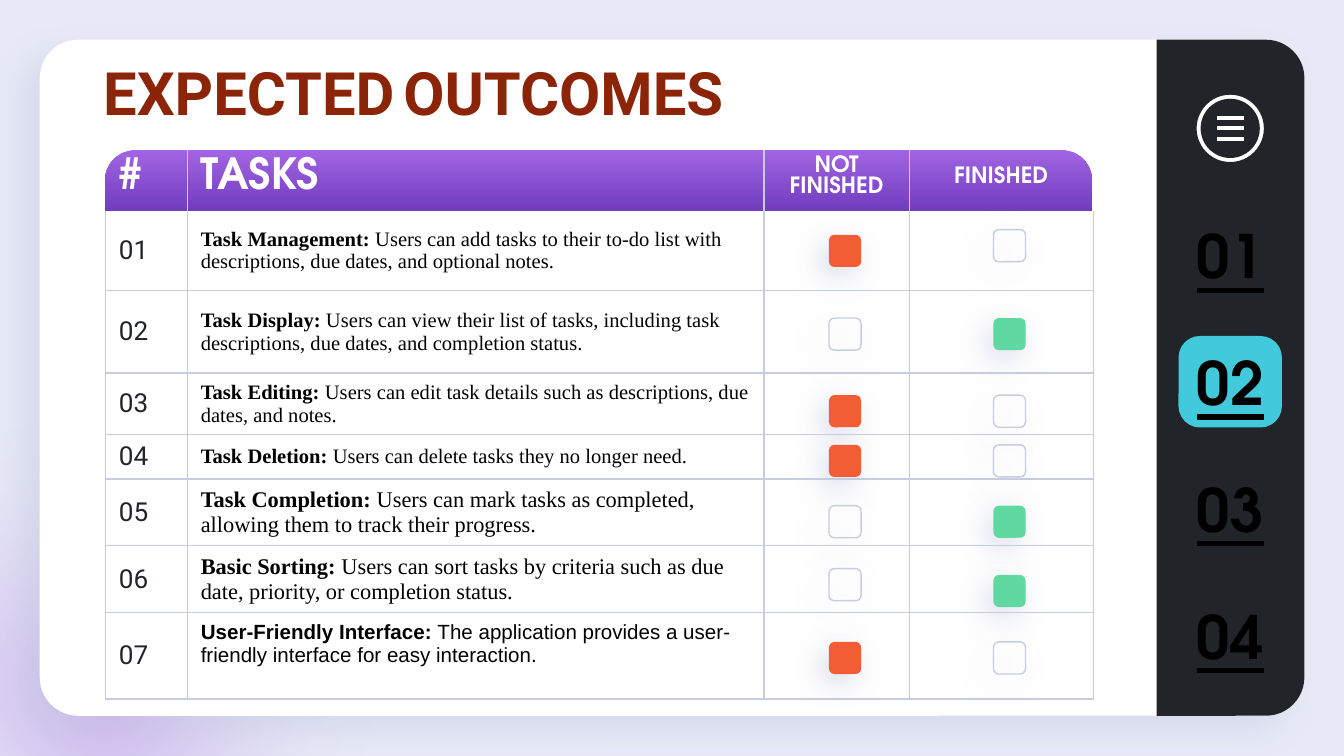
from dataclasses import dataclass
from typing import Optional

from lxml import etree
from pptx import Presentation
from pptx.dml import color
from pptx.enum import shapes, text
from pptx.oxml import ns, parse_xml
from pptx.util import Pt

C = {
    "bg": "E7E9F6", "white": "FFFFFF", "dark": "212428", "black": "000000",
    "violet": "A264E3", "purple": "703DBF", "line": "C7CCE2", "title": "8C2408",
    "open": "F35D35", "done": "60D9A1", "active": "43C9DC",
}
DISPLAY, SANS, SERIF = "TeX Gyre Adventor", "Roboto", "Times New Roman"
KIND = shapes.MSO_SHAPE


@dataclass
class Shadow:
    alpha: int
    blur: float
    dist: float
    angle: int


@dataclass
class Task:
    name: str
    detail: str
    done: bool
    height: float
    open_y: float  # top of the "not finished" box
    done_y: float  # top of the "finished" box
    size: int = 11
    font: str = SERIF
    bottom: float = 3.6


@dataclass
class Header:
    label: str
    width: float
    size: int
    centred: bool = False


HEADERS = [
    Header("#", 43.9, 23),
    Header("TASKS", 308.9, 23),
    Header("NOT FINISHED", 77.8, 12, True),
    Header("FINISHED", 98.6, 12, True),
]
TASKS = [
    Task("Task Management:", " Users can add tasks to their to-do list with descriptions, "
         "due dates, and optional notes.", False, 42.7, 125.8, 123),
    Task("Task Display:", " Users can view their list of tasks, including task descriptions, "
         "due dates, and completion status.", True, 44.2, 170.4, 170.4),
    Task("Task Editing:", " Users can edit task details such as descriptions, due dates, "
         "and notes.", False, 33.1, 211.7, 211.7),
    Task("Task Deletion:", " Users can delete tasks they no longer need.",
         False, 23.8, 238.3, 238.3),
    Task("Task Completion:", " Users can mark tasks as completed, allowing them to track "
         "their progress.", True, 35.8, 270.9, 270.9, 12),
    Task("Basic Sorting:", " Users can sort tasks by criteria such as due date, priority, "
         "or completion status.", True, 35.8, 304.6, 308, 12),
    Task("User-Friendly Interface:", " The application provides a user-friendly interface "
         "for easy interaction.", False, 46.3, 343.9, 343.9, 11, "Arial", 16.4),
]
CARD_SHADOW = Shadow(47, 16.9, 12, 137)
BOX_SHADOW = Shadow(63, 15.8, 6, 128)


def rgb(name: str) -> color.RGBColor:
    return color.RGBColor.from_string(C[name])


def add_shape(s, kind, x: float, y: float, w: float, h: float, fill: Optional[str] = None,
              line: Optional[str] = None, adj: tuple = (), shadow: Optional[Shadow] = None):
    sp = s.shapes.add_shape(kind, Pt(x), Pt(y), Pt(w), Pt(h))
    for i, value in enumerate(adj):
        sp.adjustments[i] = value
    paint(sp, fill, line)
    if shadow:
        effects = sp._element.spPr.find(ns.qn("a:effectLst"))
        effects.append(parse_xml(
            f'<a:outerShdw {ns.nsdecls("a")} blurRad="{Pt(shadow.blur)}" dist="{Pt(shadow.dist)}" '
            f'dir="{shadow.angle * 60000}" algn="t" rotWithShape="0"><a:srgbClr val="{C["line"]}">'
            f'<a:alpha val="{shadow.alpha * 1000}"/></a:srgbClr></a:outerShdw>'))
    return sp


def paint(sp, fill: Optional[str], line: Optional[str]) -> None:
    sp.shadow.inherit = False
    if fill:
        sp.fill.solid()
        sp.fill.fore_color.rgb = rgb(fill)
    else:
        sp.fill.background()
    if line:
        sp.line.color.rgb = rgb(line)
        sp.line.width = Pt(0.75)
    else:
        sp.line.fill.background()


def add_glow(s) -> None:
    """Soft violet spot that fades out from its centre."""
    sp = add_shape(s, KIND.OVAL, -111.6, 196.6, 335.5, 335.5)
    stops = "".join(
        f'<a:gs pos="{pos}000"><a:srgbClr val="{C[name]}"><a:alpha val="{alpha}000"/></a:srgbClr></a:gs>'
        for pos, name, alpha in [(0, "violet", 49), (62, "bg", 0), (100, "white", 0)])
    spPr = sp._element.spPr
    spPr.replace(spPr.find(ns.qn("a:noFill")), parse_xml(
        f'<a:gradFill {ns.nsdecls("a")}><a:gsLst>{stops}</a:gsLst><a:path path="circle">'
        '<a:fillToRect l="50000" t="50000" r="50000" b="50000"/></a:path></a:gradFill>'))


def add_menu_icon(s, cx: float, cy: float) -> None:
    """Ring with three bars in one outline; the ring's diamonds are bent into quarter arcs."""
    radii = (18.4, 15.5)
    diamonds = [[(cx - r, cy), (cx, cy - r), (cx + r, cy), (cx, cy + r), (cx - r, cy)] for r in radii]
    bars = [[(cx - 7.6, y), (cx + 7.6, y), (cx + 7.6, y + 2.9), (cx - 7.6, y + 2.9)]
            for y in (cy - 7.2, cy - 1.45, cy + 4.3)]
    contours = [[(Pt(x), Pt(y)) for x, y in contour] for contour in diamonds + bars]
    fb = s.shapes.build_freeform(*contours[0][0])
    fb.add_line_segments(contours[0][1:])
    for contour in contours[1:]:
        fb.move_to(*contour[0])
        fb.add_line_segments(contour[1:])
    sp = fb.convert_to_shape()
    sides = list(sp._element.iter(ns.qn("a:lnTo")))
    for i, side in enumerate(sides[:8]):
        r, start = str(Pt(radii[i // 4])), (180 + 90 * i) % 360
        side.getparent().replace(side, parse_xml(
            f'<a:arcTo {ns.nsdecls("a")} wR="{r}" hR="{r}" stAng="{start * 60000}" swAng="5400000"/>'))
    paint(sp, "white", "dark")


def style(r, font: str, size: float, ink: str, bold: bool = False) -> None:
    r.font.name, r.font.size, r.font.bold = font, Pt(size), bold
    r.font.color.rgb = rgb(ink)


def set_borders(cell, sides: str) -> None:
    """Draw the named sides (of L, R, T, B) and blank the others."""
    tcPr = cell._tc.get_or_add_tcPr()
    for side in "LRTB":
        ln = etree.SubElement(tcPr, ns.qn(f"a:ln{side}"), w=str(Pt(0.75)))
        if side in sides:
            fill = etree.SubElement(ln, ns.qn("a:solidFill"))
            etree.SubElement(fill, ns.qn("a:srgbClr"), val=C["line"])
        else:
            etree.SubElement(ln, ns.qn("a:noFill"))
    cell.fill.background()
    cell.vertical_anchor = text.MSO_ANCHOR.MIDDLE


def add_task_table(s) -> None:
    frame = s.shapes.add_table(len(TASKS) + 1, len(HEADERS), Pt(56.5), Pt(80.5), Pt(529.2), Pt(294))
    table = frame.table
    table.first_row = table.horz_banding = False
    table.rows[0].height = Pt(32.4)
    for i, header in enumerate(HEADERS):
        table.columns[i].width = Pt(header.width)
        cell = table.cell(0, i)
        set_borders(cell, ("L" if i else "") + ("R" if i < len(HEADERS) - 1 else ""))
        cell.margin_top = 0
        p = cell.text_frame.paragraphs[0]
        p.text = header.label
        if header.centred:
            p.alignment = text.PP_ALIGN.CENTER
        style(p.runs[0], DISPLAY, header.size, "white", True)
    for n, task in enumerate(TASKS, 1):
        table.rows[n].height = Pt(task.height)
        for i in range(len(HEADERS)):
            cell = table.cell(n, i)
            set_borders(cell, "LRB" if n == 1 else "LRTB")
            p = cell.text_frame.paragraphs[0]
            if i == 0:
                p.text = f"{n:02}"
                style(p.runs[0], SANS, 14, "dark")
            elif i == 1:
                cell.margin_bottom = Pt(task.bottom)
                p.text = task.name
                style(p.runs[0], task.font, task.size, "black", True)
                r = p.add_run()
                r.text = task.detail
                style(r, task.font, task.size, "black")
            else:  # a small end mark keeps empty cells from stretching the row
                etree.SubElement(p._p, ns.qn("a:endParaRPr"), sz="1000")


def add_checkbox(s, x: float, y: float, fill: Optional[str]) -> None:
    add_shape(s, KIND.ROUNDED_RECTANGLE, x, y, 17.2, 17.2, fill, None if fill else "line",
              (0.167,), BOX_SHADOW)


def add_textbox(s, x: float, y: float, w: float, h: float, bottom: float = 0):
    tf = s.shapes.add_textbox(Pt(x), Pt(y), Pt(w), Pt(h)).text_frame
    tf.word_wrap = True
    tf.margin_top, tf.margin_bottom = 0, Pt(bottom)
    return tf


def add_title(s) -> None:
    p = add_textbox(s, 48.2, 29.7, 536.4, 37.4, 7.2).paragraphs[0]
    for words, font, size in [("EXPECTED", SANS, 32), (" ", SERIF, 18), ("OUTCOMES", SANS, 32)]:
        r = p.add_run()
        r.text = words
        style(r, font, size, "title", True)


def add_nav_number(s, n: int) -> None:
    tf = add_textbox(s, 630.3, 117.2 + 67.9 * (n - 1), 57.6, 38.9)
    tf.vertical_anchor = text.MSO_ANCHOR.MIDDLE
    tf.text = f"{n:02}"
    p = tf.paragraphs[0]
    p.alignment = text.PP_ALIGN.CENTER
    style(p.runs[0], DISPLAY, 32, "black", True)
    p.runs[0].font.underline = True


def main() -> None:
    prs = Presentation()
    prs.slide_width, prs.slide_height = Pt(720), Pt(405)
    s = prs.slides.add_slide(prs.slide_layouts[6])
    s.background.fill.solid()
    s.background.fill.fore_color.rgb = rgb("bg")

    add_glow(s)
    add_shape(s, KIND.ROUNDED_RECTANGLE, 21.3, 21.3, 677.5, 362.2, "white", None, (0.057,), CARD_SHADOW)
    sidebar = add_shape(s, KIND.ROUND_2_SAME_RECTANGLE, 478.1, 162.8, 362.2, 79.2, "dark", None, (0.261, 0))
    sidebar.rotation = 90
    band = add_shape(s, KIND.ROUND_2_SAME_RECTANGLE, 56.3, 80.4, 528.7, 32.6, adj=(0.5, 0))
    band.fill.gradient()
    band.fill.gradient_angle = 270
    for stop, name in zip(band.fill.gradient_stops, ("violet", "purple")):
        stop.color.rgb = rgb(name)
    add_menu_icon(s, 659.1, 68.8)

    add_task_table(s)
    for task in TASKS:
        add_checkbox(s, 444.1, task.open_y, None if task.done else "open")
        add_checkbox(s, 532.2, task.done_y, "done" if task.done else None)

    add_title(s)
    add_shape(s, KIND.ROUNDED_RECTANGLE, 631.4, 180, 55.4, 49, "active", None, (0.234,))
    for n in range(1, 5):
        add_nav_number(s, n)
    prs.save("out.pptx")


if __name__ == "__main__":
    main()
